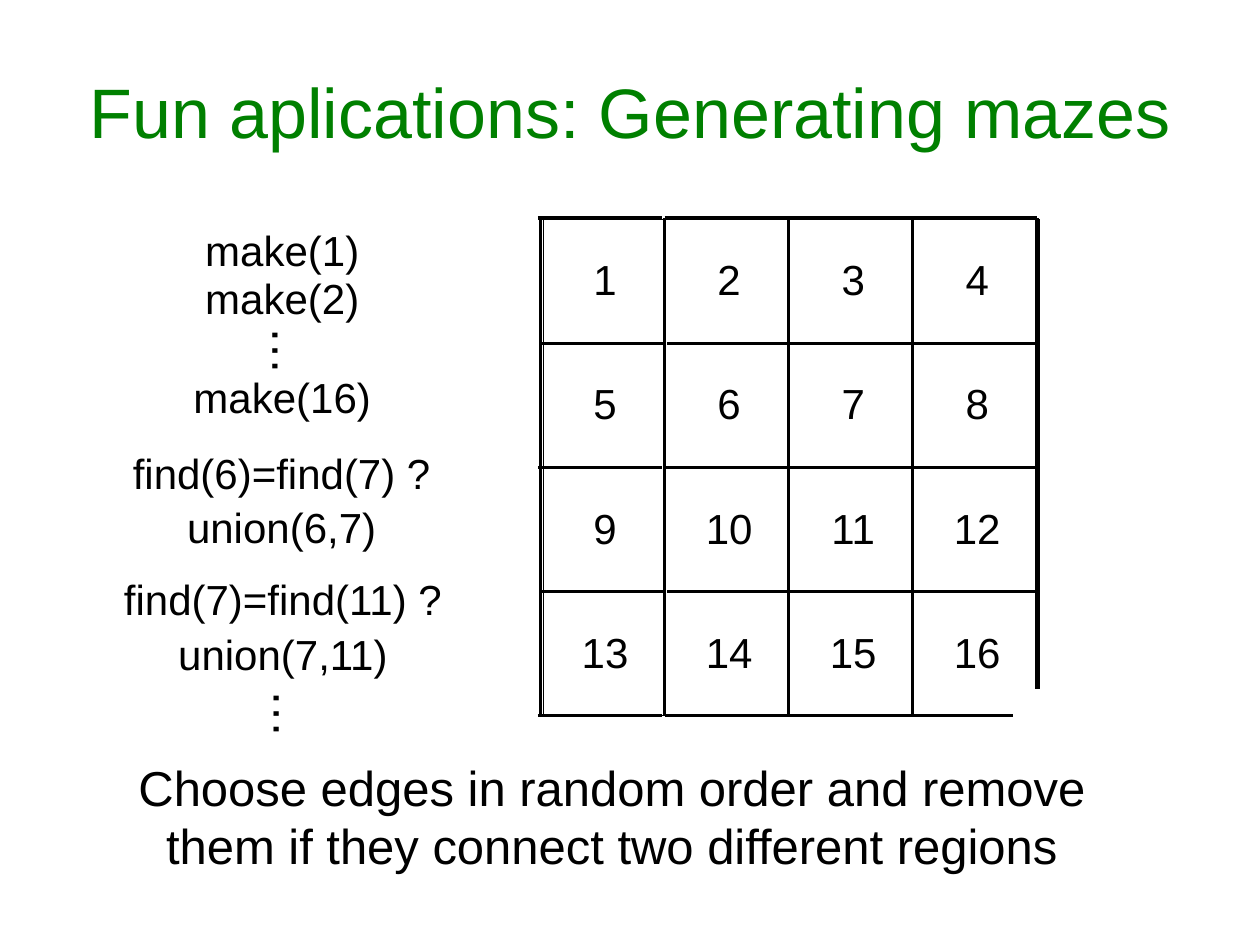
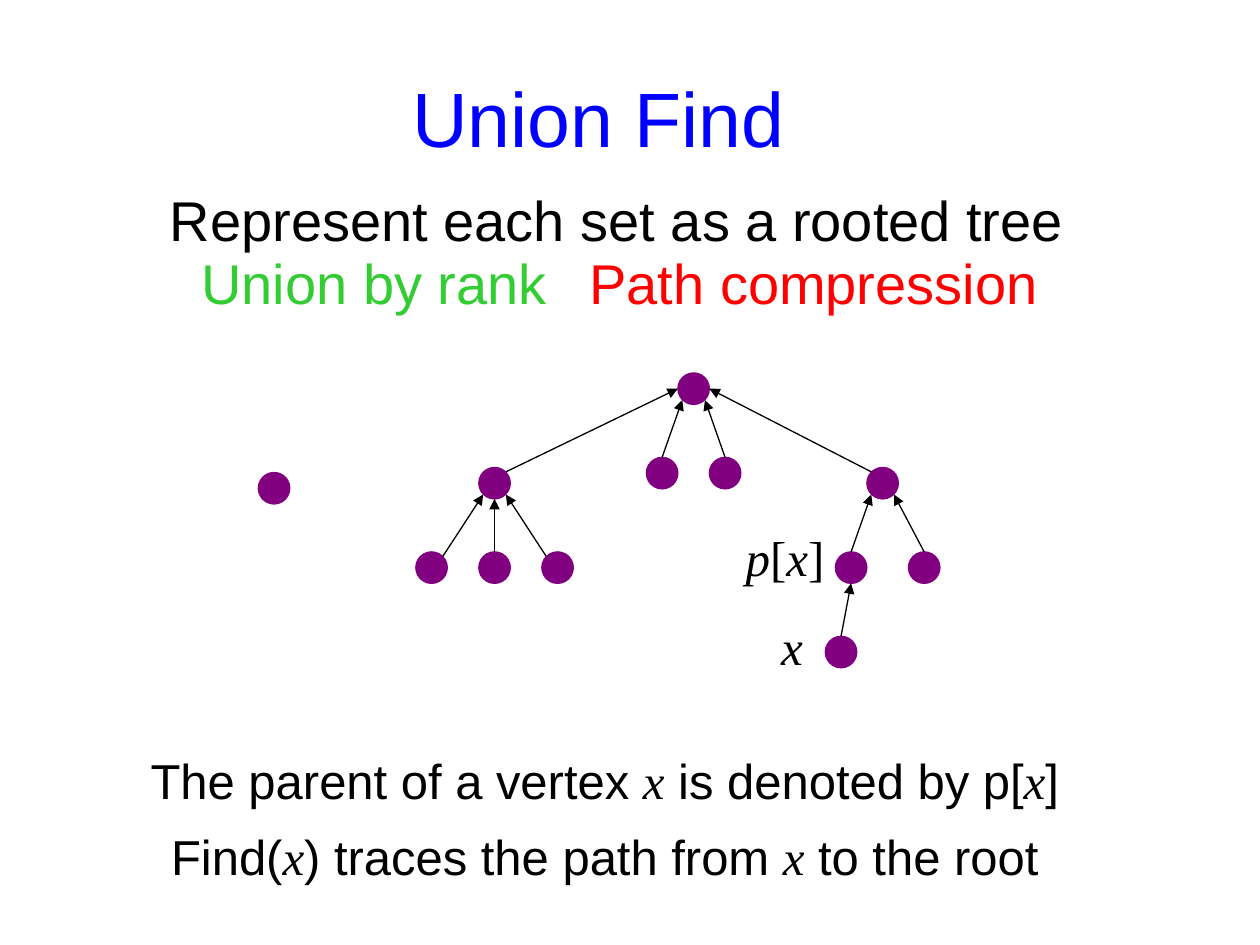
from dataclasses import dataclass

from lxml import etree
from pptx import Presentation
from pptx.dml.color import RGBColor
from pptx.enum.shapes import MSO_CONNECTOR, MSO_SHAPE
from pptx.enum.text import MSO_ANCHOR, PP_ALIGN
from pptx.oxml.ns import qn
from pptx.util import Inches, Pt

STRAIGHT = MSO_CONNECTOR.STRAIGHT
OVAL, RECT = MSO_SHAPE.OVAL, MSO_SHAPE.RECTANGLE
TOP, MIDDLE = MSO_ANCHOR.TOP, MSO_ANCHOR.MIDDLE
LEFT, CENTER = PP_ALIGN.LEFT, PP_ALIGN.CENTER

COLORS = {
    "black": "000000", "white": "FFFFFF", "green": "008000", "blue": "0000FF",
    "lime": "33CC33", "red": "FF0000", "node": "800080",
}
SANS, SERIF = "Arial", "Times New Roman"

# Maze grid
GRID = 4
SIDE = 3.94
CELL = SIDE / GRID
MAZE_LEFT, MAZE_TOP = 4.29, 1.74
WALL_SHIFT = 0.02
WALL_PT, BORDER_PT = 1.75, 0.45

# Tree nodes: offsets from the centre to the points where arrows attach
DIAMETER = 0.25
RADIUS, DIAGONAL = 0.125, 0.09
SITES = {
    "top": (0, -RADIUS), "bottom": (0, RADIUS),
    "left": (-RADIUS, 0), "right": (RADIUS, 0),
    "top_left": (-DIAGONAL, -DIAGONAL), "top_right": (DIAGONAL, -DIAGONAL),
    "bottom_left": (-DIAGONAL, DIAGONAL), "bottom_right": (DIAGONAL, DIAGONAL),
}


@dataclass(frozen=True)
class Run:
    text: str
    font: str = SANS
    italic: bool = False


@dataclass(frozen=True)
class Label:
    box: tuple[float, float, float, float]
    runs: tuple[Run, ...]
    size: int = 24
    color: str = "black"
    align: int = CENTER
    anchor: int = TOP
    rotation: int = 0


@dataclass(frozen=True)
class Node:
    left: float
    top: float

    def site(self, name: str) -> tuple[float, float]:
        dx, dy = SITES[name]
        return self.left + RADIUS + dx, self.top + RADIUS + dy


@dataclass(frozen=True)
class Edge:
    child: str
    child_site: str
    parent: str
    parent_site: str


VAR_X = Run("x", SERIF, True)
DOTS = (Run("…"),)

MAKE_CALLS = (
    Label((1.01, 1.73, 2.46, 0.5), (Run("make(1)"),)),
    Label((1.01, 2.11, 2.46, 0.5), (Run("make(2)"),)),
    Label((1.01, 2.9, 2.46, 0.5), (Run("make(16)"),)),
    Label((2.02, 2.5, 0.59, 0.57), DOTS, 28, rotation=90),
)
MAZE_LABELS = (
    Label((0.77, 5.96, 8.17, 1.04), (Run(
        "Choose edges in random order and remove them "
        "if they connect two different regions"),), 28),
    Label((0.76, 3.5, 2.95, 0.5), (Run("find(6)=find(7) ?"),)),
    Label((0.76, 3.93, 2.95, 0.5), (Run("union(6,7)"),)),
    Label((0.77, 4.5, 2.95, 0.5), (Run("find(7)=find(11) ?"),)),
    Label((0.77, 4.94, 2.95, 0.5), (Run("union(7,11)"),)),
    Label((2.03, 5.38, 0.59, 0.57), DOTS, 28, rotation=90),
)
TREE_LABELS = (
    Label((1.25, 1.42, 7.42, 0.67),
          (Run("Represent each set as a rooted tree"),), 32, align=LEFT),
    Label((1.5, 1.92, 3, 0.67), (Run("Union by rank"),), 32, "lime", LEFT),
    Label((4.58, 1.92, 3.83, 0.67), (Run("Path compression"),), 32, "red", LEFT),
    Label((1.06, 5.91, 7.48, 0.57),
          (Run("The parent of a vertex "), VAR_X, Run(" is denoted by p["),
           VAR_X, Run("]")), 28),
    Label((1.06, 6.51, 7.48, 0.57),
          (Run("Find("), VAR_X, Run(") traces the path from "), VAR_X,
           Run(" to the root")), 28),
    Label((6.1, 4.84, 0.39, 0.57), (VAR_X,), 28, align=LEFT),
    Label((5.82, 4.14, 0.98, 0.57),
          (Run("p", SERIF, True), Run("[", SERIF), VAR_X, Run("]", SERIF)),
          28, align=LEFT),
)

NODES = {
    "single": Node(2.05, 3.75),
    "root": Node(5.38, 2.96),
    "left hub": Node(3.8, 3.71),
    "left leaf 1": Node(3.3, 4.38),
    "left leaf 2": Node(3.8, 4.38),
    "left leaf 3": Node(4.3, 4.38),
    "middle leaf 1": Node(5.13, 3.63),
    "middle leaf 2": Node(5.63, 3.63),
    "right hub": Node(6.88, 3.71),
    "right leaf": Node(7.21, 4.38),
    "p[x]": Node(6.63, 4.38),
    "x": Node(6.55, 5.05),
}
EDGES = (
    Edge("left leaf 1", "top_right", "left hub", "bottom_left"),
    Edge("left leaf 2", "top", "left hub", "bottom"),
    Edge("left leaf 3", "top_left", "left hub", "bottom_right"),
    Edge("left hub", "top_right", "root", "left"),
    Edge("middle leaf 1", "top", "root", "bottom_left"),
    Edge("middle leaf 2", "top", "root", "bottom_right"),
    Edge("right hub", "top_left", "root", "right"),
    Edge("right leaf", "top", "right hub", "bottom_right"),
    Edge("p[x]", "top", "right hub", "bottom_left"),
    Edge("x", "top", "p[x]", "bottom"),
)


def rgb(name: str) -> RGBColor:
    return RGBColor.from_string(COLORS[name])


def add_runs(tf, runs, size: int, color: str, align) -> None:
    p = tf.paragraphs[0]
    p.alignment = align
    for run in runs:
        r = p.add_run()
        r.text = run.text
        r.font.name = run.font
        r.font.size = Pt(size)
        r.font.italic = run.italic
        r.font.color.rgb = rgb(color)


def add_label(shapes, label: Label) -> None:
    tb = shapes.add_textbox(*map(Inches, label.box))
    tb.rotation = label.rotation
    tf = tb.text_frame
    tf.word_wrap = True
    tf.vertical_anchor = label.anchor
    add_runs(tf, label.runs, label.size, label.color, label.align)


def add_title(s, text: str, box, size: int, color: str) -> None:
    add_label(s.shapes, Label(box, (Run(text),), size, color, anchor=MIDDLE))


def add_line(s, start, end, width: float, arrow: bool = False) -> None:
    cx = s.shapes.add_connector(STRAIGHT, *map(Inches, (*start, *end)))
    cx.line.color.rgb = rgb("black")
    cx.line.width = Pt(width)
    sp_pr = cx.element.spPr
    if arrow:
        etree.SubElement(sp_pr.find(qn("a:ln")), qn("a:tailEnd"), type="triangle")
    etree.SubElement(sp_pr, qn("a:effectLst"))


def add_filled(s, kind, box, color: str):
    sp = s.shapes.add_shape(kind, *map(Inches, box))
    sp.shadow.inherit = False
    sp.fill.solid()
    sp.fill.fore_color.rgb = rgb(color)
    sp.line.fill.background()
    return sp


def add_node(s, node: Node) -> None:
    sp = add_filled(s, OVAL, (node.left, node.top, DIAMETER, DIAMETER), "node")
    sp.line.color.rgb = rgb("node")
    sp.line.width = Pt(0.75)


def add_walls(s) -> None:
    xs = [MAZE_LEFT + i * CELL for i in range(GRID + 1)]
    ys = [MAZE_TOP + i * CELL for i in range(GRID + 1)]
    ys[0] -= 0.01
    for row, y in enumerate(ys):
        for col, x in enumerate(xs[:-1]):
            # Odd rows sit slightly to the right; the first wall, to the left
            left = x + WALL_SHIFT * (row % 2 - (col == 0))
            add_line(s, (left, y), (left + CELL, y), WALL_PT)
    for top, bottom in zip(ys, ys[1:]):
        for x in xs:
            add_line(s, (x, bottom), (x, top), WALL_PT)


def set_borders(cell, outer: dict[str, bool]) -> None:
    """Draw the borders on the rim of the table and clear the inner ones."""
    tc_pr = cell._tc.get_or_add_tcPr()
    for side, visible in outer.items():
        ln = etree.SubElement(tc_pr, qn(f"a:ln{side}"), w=str(Pt(BORDER_PT)))
        if visible:
            fill = etree.SubElement(ln, qn("a:solidFill"))
            etree.SubElement(fill, qn("a:srgbClr"), val=COLORS["black"])
        else:
            etree.SubElement(ln, qn("a:noFill"))


def add_cells(s) -> None:
    box = (MAZE_LEFT + WALL_SHIFT, MAZE_TOP, SIDE, SIDE)
    table = s.shapes.add_table(GRID, GRID, *map(Inches, box)).table
    table.first_row = table.horz_banding = False
    last = GRID - 1
    for i in range(GRID):
        table.columns[i].width = table.rows[i].height = Inches(CELL)
    for n in range(GRID * GRID):
        row, col = divmod(n, GRID)
        cell = table.cell(row, col)
        set_borders(cell, {"L": col == 0, "R": col == last,
                           "T": row == 0, "B": row == last})
        cell.fill.background()
        cell.vertical_anchor = MIDDLE
        add_runs(cell.text_frame, (Run(str(n + 1)),), 24, "black", CENTER)


def build_maze_slide(s) -> None:
    add_title(s, "Fun aplications: Generating mazes", (0.5, 0.45, 9, 0.86), 40, "green")
    add_walls(s)
    add_cells(s)
    group = s.shapes.add_group_shape()
    for label in MAKE_CALLS:
        add_label(group.shapes, label)
    for label in MAZE_LABELS:
        add_label(s.shapes, label)
    add_filled(s, RECT, (8.04, 5.47, 0.39, 0.39), "white")


def build_tree_slide(s) -> None:
    add_title(s, "Union Find", (2, 0.3, 5.5, 1.25), 44, "blue")
    for node in NODES.values():
        add_node(s, node)
    for edge in EDGES:
        add_line(s, NODES[edge.child].site(edge.child_site),
                 NODES[edge.parent].site(edge.parent_site), 0.75, arrow=True)
    for label in TREE_LABELS:
        add_label(s.shapes, label)


def main() -> None:
    prs = Presentation()
    prs.slide_width, prs.slide_height = Inches(10), Inches(7.5)
    for build in (build_maze_slide, build_tree_slide):
        build(prs.slides.add_slide(prs.slide_layouts[6]))
    prs.save("out.pptx")


if __name__ == "__main__":
    main()
